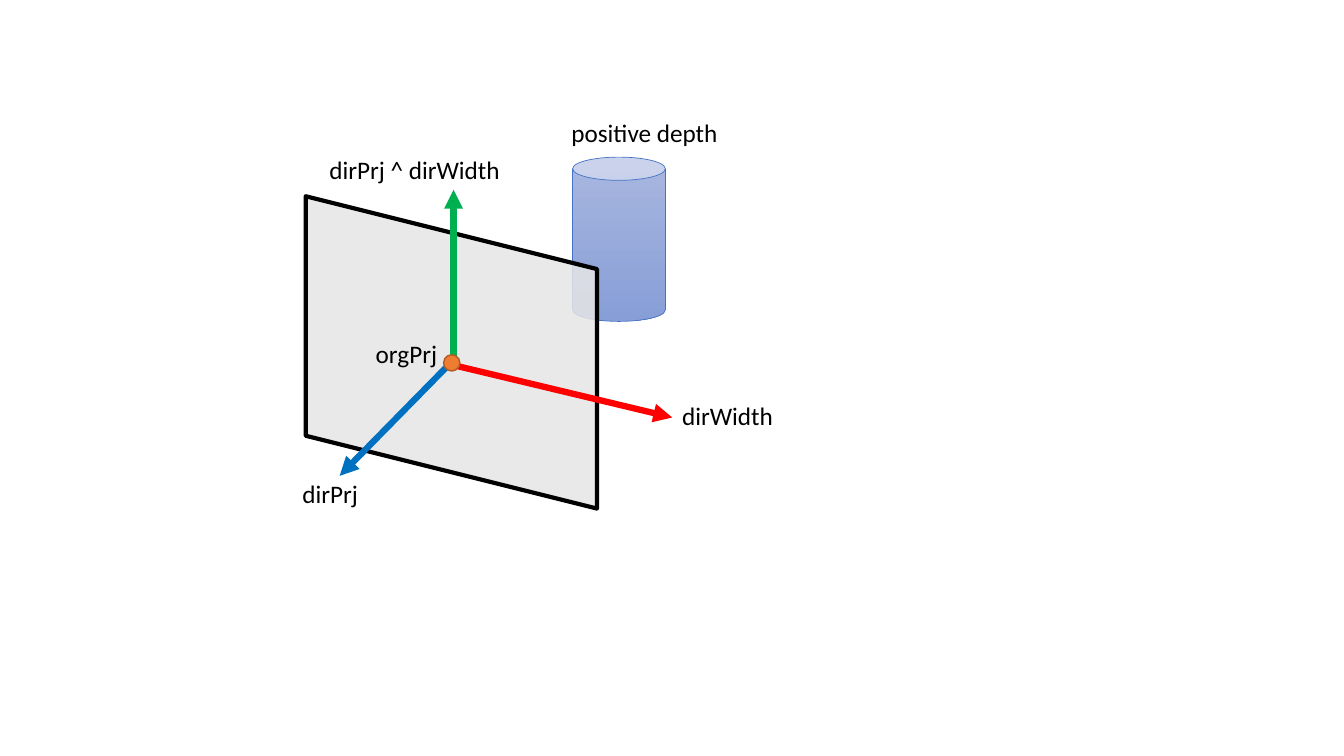
from lxml import etree
from pptx import Presentation
from pptx import util as u
from pptx.dml.color import RGBColor
from pptx.enum import shapes, text
from pptx.oxml import ns

CYLINDER = (14.43, 3.96, 2.34, 4.14)
PLANE = (7.44, 5.21, 7.87, 7.34)
ORIGIN = (11.18, 8.94, 0.41, 0.41)
AXES = {
    "dirWidth": ((11.38, 9.19), (16.94, 10.52), "FF0000"),
    "dirPrj": ((11.38, 9.12), (8.56, 11.99), "0070C0"),
    "dirPrj ^ dirWidth": ((11.43, 9.12), (11.43, 4.78), "00B050"),
}
LABEL_HEIGHT = 1.02
LABELS = [
    ("dirPrj", 7.37, 11.94, 1.93),
    ("dirWidth", 16.94, 9.96, 2.82),
    ("orgPrj", 9.22, 8.41, 2.08),
    ("dirPrj ^ dirWidth", 8.05, 3.76, 4.85),
    ("positive depth", 14.15, 2.84, 4.24),
]


def color(value):
    return RGBColor.from_string(value)


def lengths(*values):
    return [u.Cm(value) for value in values]


def add_figure(kind, box, line_color, line_width, fill_color=None):
    shape = slide.shapes.add_shape(kind, *lengths(*box))
    shape.shadow.inherit = False
    shape.line.color.rgb = color(line_color)
    shape.line.width = u.Pt(line_width)
    if fill_color:
        shape.fill.solid()
        shape.fill.fore_color.rgb = color(fill_color)
    return shape


def add_axis(name):
    start, end, axis_color = AXES[name]
    axis = slide.shapes.add_connector(
        shapes.MSO_CONNECTOR.STRAIGHT, *lengths(*start, *end))
    axis.line.color.rgb = color(axis_color)
    axis.line.width = u.Pt(4.5)
    etree.SubElement(axis.line._get_or_add_ln(), ns.qn("a:tailEnd"), type="triangle")
    etree.SubElement(axis._element.spPr, ns.qn("a:effectLst"))


def add_label(caption, left, top, width):
    label = slide.shapes.add_textbox(*lengths(left, top, width, LABEL_HEIGHT))
    frame = label.text_frame
    frame.word_wrap = False
    frame.auto_size = text.MSO_AUTO_SIZE.SHAPE_TO_FIT_TEXT
    frame.text = caption
    font = frame.paragraphs[0].font
    font.name = "Calibri"
    font.size = u.Pt(18)
    font.color.rgb = color("000000")


presentation = Presentation()
presentation.slide_width = u.Cm(33.87)
presentation.slide_height = u.Cm(19.05)
slide = presentation.slides.add_slide(presentation.slide_layouts[6])

cylinder = add_figure(shapes.MSO_SHAPE.CAN, CYLINDER, "4472C4", 0.5)
cylinder.fill.gradient()
cylinder.fill.gradient_angle = 270
for stop, stop_color in zip(cylinder.fill.gradient_stops, ("A8B7DF", "889ED7")):
    stop.color.rgb = color(stop_color)

plane = add_figure(shapes.MSO_SHAPE.PARALLELOGRAM, PLANE, "000000", 3, "E7E6E6")
plane.rotation = 270
plane_color = plane._element.spPr.find(ns.qn("a:solidFill"))[0]
etree.SubElement(plane_color, ns.qn("a:alpha"), val="85000")

for name in AXES:
    add_axis(name)
add_figure(shapes.MSO_SHAPE.OVAL, ORIGIN, "AF5C24", 1, "ED7D31")
for label in LABELS:
    add_label(*label)

presentation.save("out.pptx")
